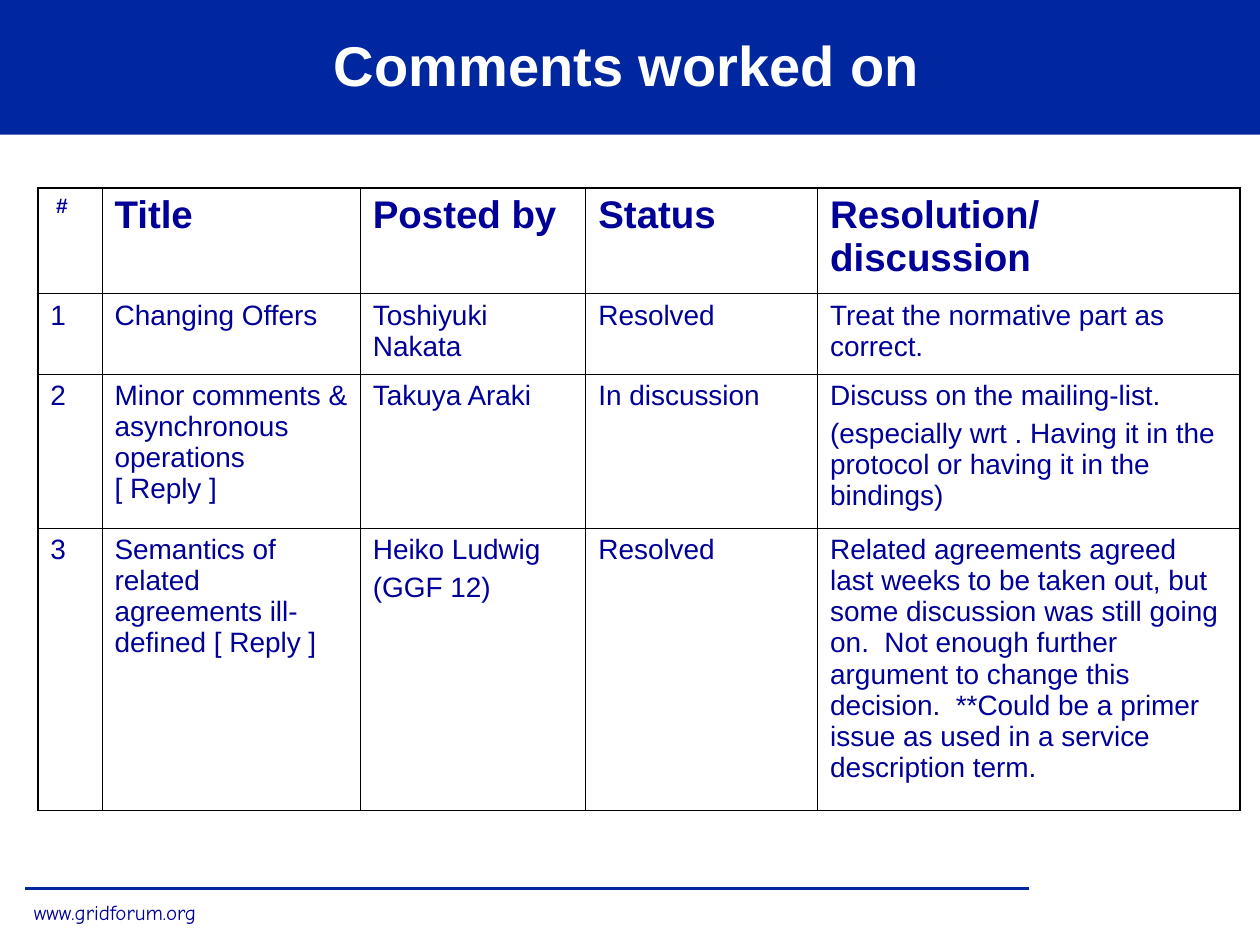
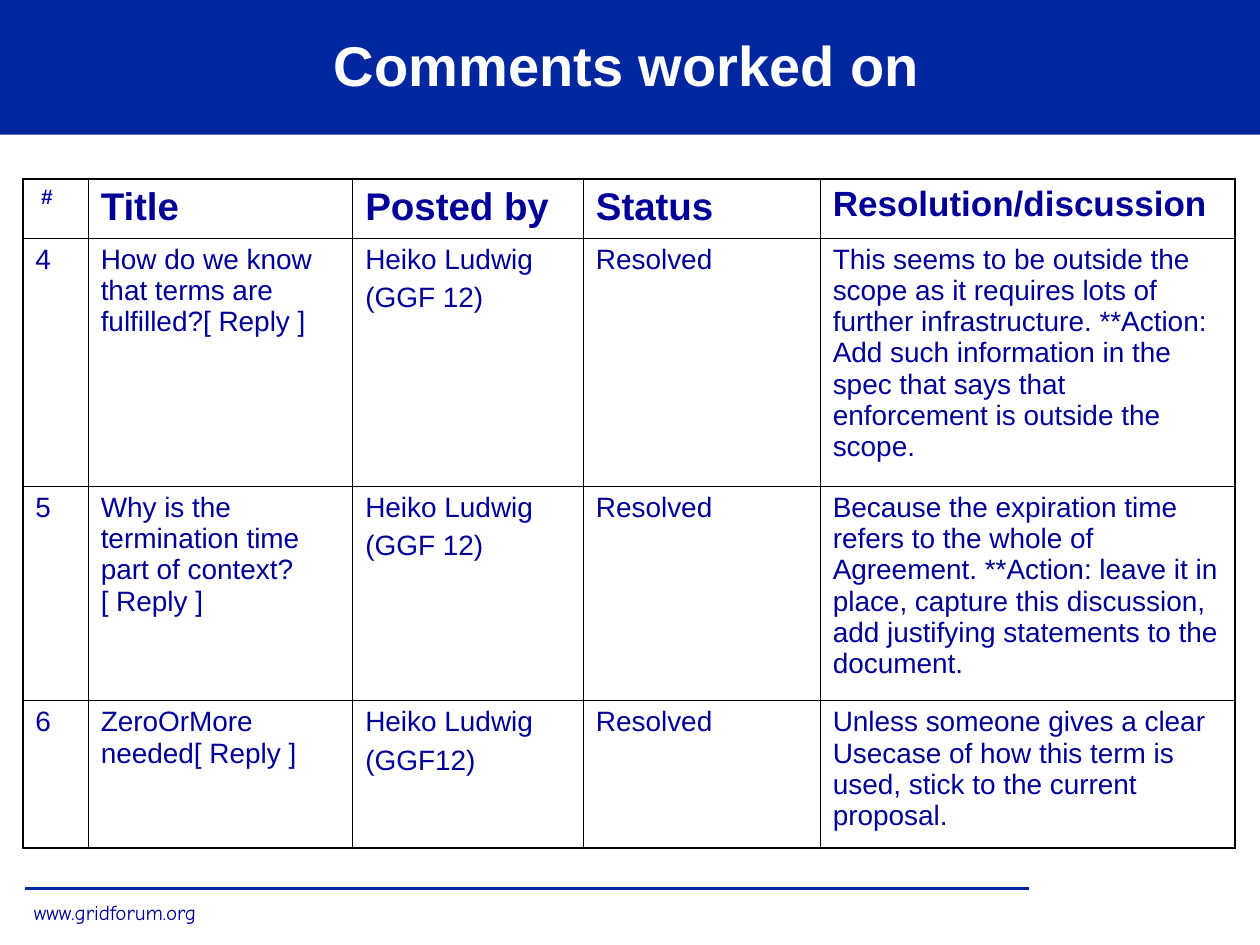
import pptx
import pptx.dml.color
import pptx.enum.shapes
import pptx.enum.text
import pptx.oxml
import pptx.oxml.ns
import pptx.util
from pptx.util import Inches

BAND_BLUE = pptx.dml.color.RGBColor(0x00, 0x27, 0x9F)
TEXT_BLUE = pptx.dml.color.RGBColor(0x00, 0x00, 0x99)
WHITE = pptx.dml.color.RGBColor(0xFF, 0xFF, 0xFF)
BLACK = pptx.dml.color.RGBColor(0x00, 0x00, 0x00)

BODY_FONT = "Arial"
FOOTER_FONT = "Comic Neue"
OUTER_BORDER = 1.08
INNER_BORDER = 0.45
HEADINGS = [" #", "Title", "Posted by", "Status", "Resolution/discussion"]

FIRST_COMMENTS = [
    ["1", "Changing Offers", "Toshiyuki Nakata", "Resolved",
     "Treat the normative part as correct."],
    ["2", "Minor comments & asynchronous operations \v[ Reply ]",
     "Takuya Araki", "In discussion",
     "Discuss on the mailing-list.\n(especially wrt . Having it in the "
     "protocol or having it in the bindings)"],
    ["3", "Semantics of related agreements ill-defined [ Reply ]",
     "Heiko Ludwig\n(GGF 12)", "Resolved",
     "Related agreements agreed last weeks to be taken out, but some "
     "discussion was still going on.  Not enough further argument to change "
     "this decision.  **Could be a primer issue as used in a service "
     "description term."],
]
LATER_COMMENTS = [
    ["4", "How do we know that terms are fulfilled?[ Reply ]",
     "Heiko Ludwig\n(GGF 12)", "Resolved",
     "This seems to be outside the scope as it requires lots of further "
     "infrastructure. **Action: Add such information in the spec that says "
     "that enforcement is outside the scope."],
    ["5", "Why is the termination time part of context?[ Reply ]",
     "Heiko Ludwig\n(GGF 12)", "Resolved",
     "Because the expiration time refers to the whole of Agreement. "
     "**Action: leave it in place, capture this discussion, add justifying "
     "statements to the document."],
    ["6", "ZeroOrMore needed[ Reply ]", "Heiko Ludwig\n(GGF12)", "Resolved",
     "Unless someone gives a clear Usecase of how this term is used, stick "
     "to the current proposal."],
]


def style_text(frame, font_name, size, color, bold=False):
    for index, paragraph in enumerate(frame.paragraphs):
        if index:
            paragraph.space_before = pptx.util.Pt(size / 4)
        for run in paragraph.runs:
            run.font.name = font_name
            run.font.size = pptx.util.Pt(size)
            run.font.bold = bold
            run.font.color.rgb = color


def add_title_band(slide, left, top, width, height, title):
    band = slide.shapes.add_shape(
        pptx.enum.shapes.MSO_SHAPE.RECTANGLE,
        Inches(left), Inches(top), Inches(width), Inches(height))
    band.shadow.inherit = False
    band.fill.solid()
    band.fill.fore_color.rgb = BAND_BLUE
    band.line.fill.background()

    heading = slide.shapes.add_textbox(
        Inches(left), Inches(top), Inches(width - 0.05), Inches(height - 0.05))
    frame = heading.text_frame
    frame.word_wrap = True
    frame.vertical_anchor = pptx.enum.text.MSO_ANCHOR.MIDDLE
    frame.text = title
    frame.paragraphs[0].alignment = pptx.enum.text.PP_ALIGN.CENTER
    style_text(frame, BODY_FONT, 32, WHITE, bold=True)


def add_footer(slide, left, top, width):
    """Draw the rule with the web address beneath it."""
    rule = slide.shapes.add_connector(
        pptx.enum.shapes.MSO_CONNECTOR.STRAIGHT,
        Inches(left), Inches(top), Inches(left + width), Inches(top))
    rule.line.color.rgb = BAND_BLUE
    rule.line.width = pptx.util.Pt(2)
    pptx.oxml.ns.qn("a:effectLst")
    rule._element.spPr.append(
        pptx.oxml.parse_xml(f'<a:effectLst {pptx.oxml.ns.nsdecls("a")}/>'))

    address = slide.shapes.add_textbox(
        Inches(left - 0.03), Inches(top + 0.04), Inches(1.49), Inches(0.3))
    address.text_frame.word_wrap = False
    address.text_frame.text = "www.gridforum.org"
    style_text(address.text_frame, FOOTER_FONT, 12, TEXT_BLUE)


def set_borders(cell, outer_sides):
    properties = cell._tc.get_or_add_tcPr()
    for side in "LRTB":
        points = OUTER_BORDER if side in outer_sides else INNER_BORDER
        properties.append(pptx.oxml.parse_xml(
            f'<a:ln{side} {pptx.oxml.ns.nsdecls("a")} '
            f'w="{pptx.util.Pt(points)}"><a:solidFill>'
            f'<a:srgbClr val="{BLACK}"/></a:solidFill></a:ln{side}>'))


def add_comment_table(slide, left, top, widths, heights, comments,
                      heading_sizes):
    rows = [HEADINGS] + comments
    table = slide.shapes.add_table(
        len(rows), len(widths), Inches(left), Inches(top),
        Inches(sum(widths)), Inches(sum(heights))).table
    table.first_row = False
    table.horz_banding = False
    for column, width in zip(table.columns, widths):
        column.width = Inches(width)

    last_row, last_column = len(rows) - 1, len(widths) - 1
    for r, (texts, height) in enumerate(zip(rows, heights)):
        table.rows[r].height = Inches(height)
        for c, text in enumerate(texts):
            cell = table.cell(r, c)
            edges = {"L": c == 0, "R": c == last_column,
                     "T": r == 0, "B": r == last_row}
            set_borders(cell, [side for side in edges if edges[side]])
            cell.fill.solid()
            cell.fill.fore_color.rgb = WHITE
            cell.text_frame.text = text
            size = heading_sizes[c] if r == 0 else 16
            style_text(cell.text_frame, BODY_FONT, size, TEXT_BLUE, r == 0)


def add_comment_slide(deck, **table_settings):
    slide = deck.slides.add_slide(deck.slide_layouts[6])
    add_title_band(slide, 0, 0, 10, 1.07, "Comments worked on")
    add_footer(slide, 0.2, 7.05, 7.97)
    add_comment_table(slide, **table_settings)


def main():
    deck = pptx.Presentation()
    deck.slide_width, deck.slide_height = Inches(10), Inches(7.5)
    add_comment_slide(
        deck, left=0.3, top=1.49, widths=[0.51, 2.05, 1.79, 1.84, 3.35],
        heights=[0.84, 0.64, 1.22, 2.24], comments=FIRST_COMMENTS,
        heading_sizes=[12, 22, 22, 22, 22])
    add_comment_slide(
        deck, left=0.18, top=1.42, widths=[0.52, 2.1, 1.83, 1.88, 3.29],
        heights=[0.47, 1.97, 1.7, 1.17], comments=LATER_COMMENTS,
        heading_sizes=[12, 22, 22, 22, 20])
    deck.save("out.pptx")


if __name__ == "__main__":
    main()
